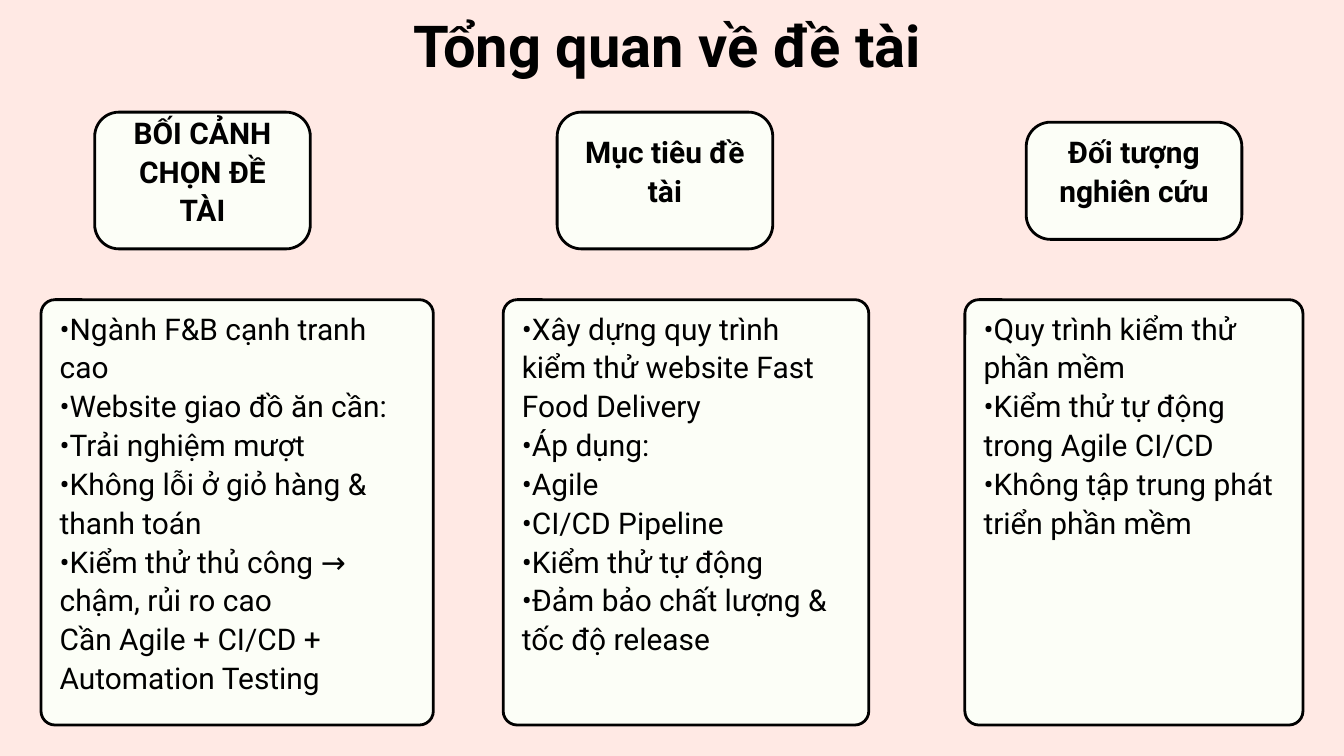
from pptx import Presentation
from pptx.dml.color import RGBColor
from pptx.enum.shapes import MSO_SHAPE
from pptx.enum.text import MSO_ANCHOR, MSO_AUTO_SIZE, PP_ALIGN
from pptx.util import Cm, Pt

ROUND = MSO_SHAPE.ROUNDED_RECTANGLE
TOP, MIDDLE = MSO_ANCHOR.TOP, MSO_ANCHOR.MIDDLE
LEFT, CENTER = PP_ALIGN.LEFT, PP_ALIGN.CENTER
FIXED = MSO_AUTO_SIZE.NONE

COLORS = {"back": "FFE9E4", "card": "FCFEF7", "ink": "000000"}
FONT = "Roboto"


class Deck:
    """Holds the style and the current slide."""

    def __init__(self, width, height):
        self.prs = Presentation()
        self.prs.slide_width, self.prs.slide_height = Cm(width), Cm(height)
        self.slide = None

    def color(self, name):
        return RGBColor.from_string(COLORS[name])

    def page(self):
        self.slide = self.prs.slides.add_slide(self.prs.slide_layouts[5])
        fill = self.slide.background.fill
        fill.solid()
        fill.fore_color.rgb = self.color("back")

    def label(self, shape, text, size, bold, align, anchor, inset):
        frame = shape.text_frame
        frame.text = text
        frame.word_wrap = True
        frame.auto_size = FIXED
        frame.vertical_anchor = anchor
        (frame.margin_left, frame.margin_top,
         frame.margin_right, frame.margin_bottom) = [Cm(x) for x in inset]
        for para in frame.paragraphs:
            para.alignment = align
            para.line_spacing = Pt(size * 1.3)
            for run in para.runs:
                font = run.font
                font.name, font.size, font.bold = FONT, Pt(size), bold
                font.color.rgb = self.color("ink")

    def title(self, text, left, top, width, height):
        shape = self.slide.shapes.title
        shape.left, shape.top = Cm(left), Cm(top)
        shape.width, shape.height = Cm(width), Cm(height)
        self.label(shape, text, 62, True, LEFT, TOP, (0, 0, 0, 0))

    def card(self, left, top, width, height, radius):
        shape = self.slide.shapes.add_shape(
            ROUND, Cm(left), Cm(top), Cm(width), Cm(height))
        shape.adjustments[0] = radius / min(width, height)
        shape.shadow.inherit = False
        shape.fill.solid()
        shape.fill.fore_color.rgb = self.color("card")
        shape.line.color.rgb = self.color("ink")
        shape.line.width = Pt(3)
        return shape

    def head(self, text, left, top, height):
        shape = self.card(left, top, 8.15, height, 0.92)
        self.label(shape, text, 32, True, CENTER, MIDDLE, (0.44, 0, 0.44, 0.82))

    def body(self, lines, left, width):
        shape = self.card(left, 11.33, width, 16.08, 0.53)
        self.label(shape, "\n".join(lines), 32, False, LEFT, TOP,
                   (0.55, 0.13, 0.55, 0.13))


# Each column: heading, its left, top and height; list, its left and width
COLUMNS = [
    (("BỐI CẢNH CHỌN ĐỀ TÀI", 3.58, 4.24, 5.17),
     (["•Ngành F&B cạnh tranh cao",
       "•Website giao đồ ăn cần:",
       "•Trải nghiệm mượt",
       "•Không lỗi ở giỏ hàng & thanh toán",
       "•Kiểm thử thủ công → chậm, rủi ro cao",
       "Cần Agile + CI/CD + Automation Testing"], 1.55, 14.83)),
    (("Mục tiêu đề tài", 21.06, 4.24, 5.17),
     (["•Xây dựng quy trình kiểm thử website Fast Food Delivery",
       "•Áp dụng:",
       "•Agile",
       "•CI/CD Pipeline",
       "•Kiểm thử tự động",
       "•Đảm bảo chất lượng & tốc độ release"], 19.02, 13.82)),
    (("Đối tượng nghiên cứu", 38.79, 4.62, 4.43),
     (["•Quy trình kiểm thử phần mềm",
       "•Kiểm thử tự động trong Agile CI/CD",
       "•Không tập trung phát triển phần mềm"], 36.47, 12.78)),
]


def main():
    deck = Deck(50.8, 28.58)
    deck.page()

    # Title
    deck.title("Tổng quan về đề tài", 15.62, 0.15, 22.91, 2.79)

    # Columns
    for head, body in COLUMNS:
        deck.head(*head)
        deck.body(*body)

    deck.prs.save("out.pptx")


if __name__ == "__main__":
    main()
